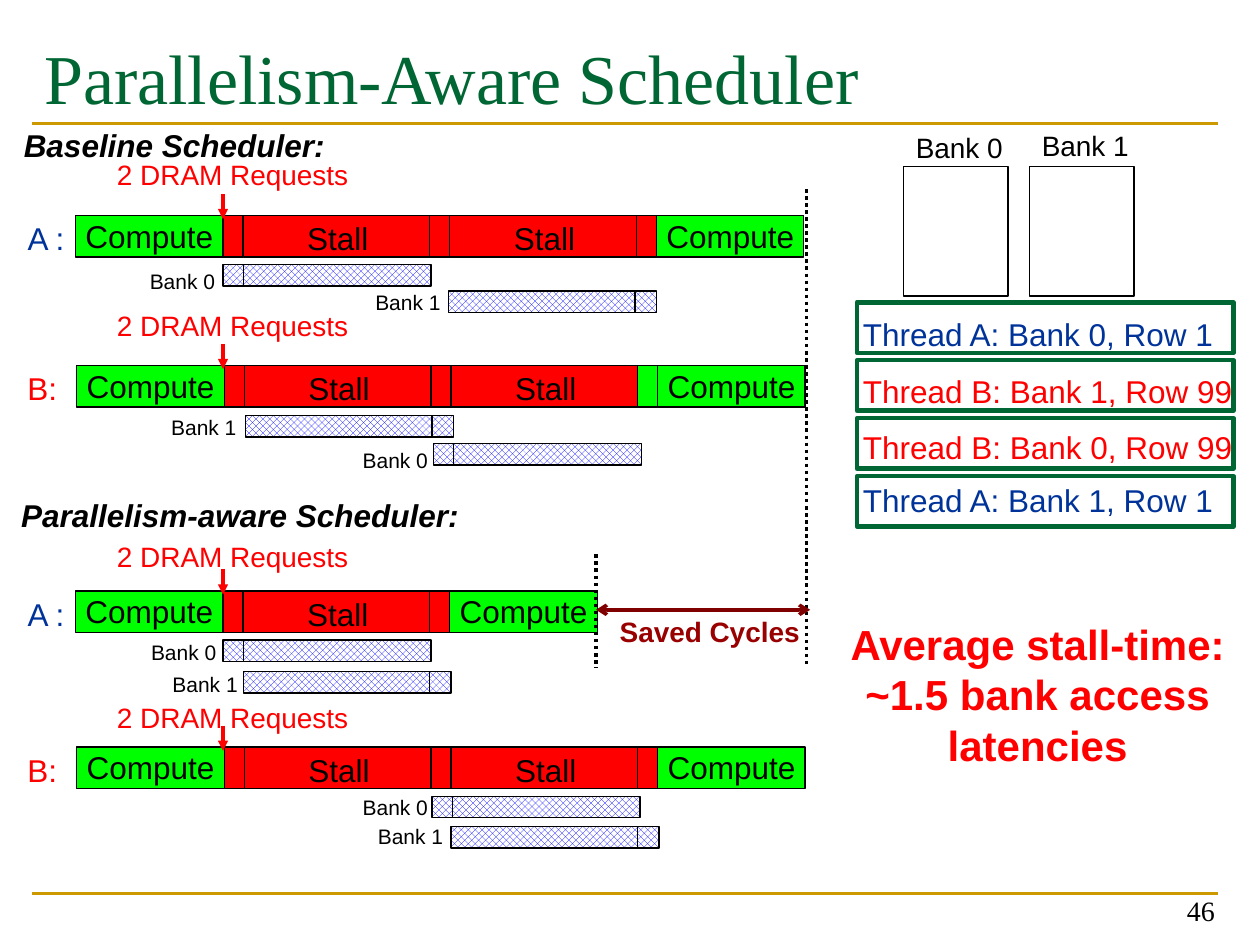
from lxml import etree
from pptx import Presentation
from pptx.dml.color import RGBColor
from pptx.enum.dml import MSO_LINE, MSO_PATTERN
from pptx.enum.shapes import MSO_CONNECTOR, MSO_SHAPE
from pptx.enum.text import MSO_ANCHOR, MSO_AUTO_SIZE, PP_ALIGN
from pptx.oxml.ns import qn
from pptx.util import Inches, Pt

BLACK = RGBColor(0x00, 0x00, 0x00)
WHITE = RGBColor(0xFF, 0xFF, 0xFF)
RED = RGBColor(0xFF, 0x00, 0x00)
GREEN = RGBColor(0x00, 0xFF, 0x00)
BLUE = RGBColor(0x00, 0x00, 0xFF)
NAVY = RGBColor(0x00, 0x33, 0x99)
DARK_GREEN = RGBColor(0x00, 0x66, 0x33)
GOLD = RGBColor(0xCC, 0x99, 0x00)
MAROON = RGBColor(0x80, 0x00, 0x00)
DARK_RED = RGBColor(0x99, 0x00, 0x00)

RECTANGLE = MSO_SHAPE.RECTANGLE
STRAIGHT = MSO_CONNECTOR.STRAIGHT
DOTTED = MSO_LINE.ROUND_DOT
CHECKER = MSO_PATTERN.LARGE_CHECKER_BOARD
LEFT, CENTER, RIGHT = PP_ALIGN.LEFT, PP_ALIGN.CENTER, PP_ALIGN.RIGHT
TOP, BOTTOM = MSO_ANCHOR.TOP, MSO_ANCHOR.BOTTOM
FIT_SHAPE = MSO_AUTO_SIZE.SHAPE_TO_FIT_TEXT

COMPUTE, STALL, SHORT = 1.17, 1.48, 0.16
BAR_HEIGHT, ACCESS_HEIGHT = 0.33, 0.17
LONG_ACCESS, SHORT_ACCESS = 1.49, 0.17

presentation = Presentation()
presentation.slide_width = Inches(10)
presentation.slide_height = Inches(7.5)
slide = presentation.slides.add_slide(presentation.slide_layouts[5])


def add_text(text, left, top, width, height, size, color, wrap=False, align=LEFT, **font_values):
    box = slide.shapes.add_textbox(Inches(left), Inches(top), Inches(width), Inches(height))
    frame = box.text_frame
    frame.word_wrap = wrap
    frame.auto_size = FIT_SHAPE
    paragraph = frame.paragraphs[0]
    paragraph.text = text
    paragraph.alignment = align
    paragraph.font.color.rgb = color
    values = {"name": "Arial", "size": Pt(size), **font_values}
    for name, value in values.items():
        setattr(paragraph.font, name, value)
    return box


def add_rectangle(left, top, width, height, fill=None, line=BLACK, line_width=0.75):
    """Draw a rectangle; fill is a colour, CHECKER, or None for no fill."""
    shape = slide.shapes.add_shape(
        RECTANGLE, Inches(left), Inches(top), Inches(width), Inches(height))
    shape.shadow.inherit = False
    if fill is None:
        shape.fill.background()
    elif fill == CHECKER:
        shape.fill.patterned()
        shape.fill.pattern = CHECKER
        shape.fill.fore_color.rgb = BLUE
        shape.fill.back_color.rgb = WHITE
    else:
        shape.fill.solid()
        shape.fill.fore_color.rgb = fill
    shape.line.color.rgb = line
    shape.line.width = Pt(line_width)


# Title and slide number
title = slide.shapes.title
title.left, title.top, title.width, title.height = (
    Inches(0.25), Inches(0.17), Inches(9.42), Inches(1.17))
title.text_frame.vertical_anchor = TOP
title.text_frame.margin_top = Inches(0.1)
title_paragraph = title.text_frame.paragraphs[0]
title_paragraph.text = "Parallelism-Aware Scheduler"
title_paragraph.alignment = LEFT
title_paragraph.font.name = "Times New Roman"
title_paragraph.font.size = Pt(40)
title_paragraph.font.color.rgb = DARK_GREEN

number = add_text("46", 7.41, 6.91, 2.33, 0.5, 16, BLACK, wrap=True, align=RIGHT,
                  name="Times New Roman")
number.text_frame.auto_size = MSO_AUTO_SIZE.NONE
number.text_frame.vertical_anchor = BOTTOM

# Banks and request queue
for label, left, label_top in [("Bank 0", 7.17, 0.99), ("Bank 1", 8.17, 0.97)]:
    add_rectangle(left, 1.32, 0.83, 1.03)
    add_text(label, left, label_top, 0.9, 0.37, 16, BLACK)

queue = [
    ("Thread A: Bank 0, Row 1", 2.45, 3.05, NAVY),
    ("Thread B: Bank 1, Row 99", 2.9, 3.21, RED),
    ("Thread B: Bank 0, Row 99", 3.35, 3.21, RED),
    ("Thread A: Bank 1, Row 1", 3.77, 3.05, NAVY),
]
for index, (request, text_top, width, color) in enumerate(queue):
    add_text(request, 6.75, text_top, width, 0.41, 18, color)
    add_rectangle(6.8, 2.4 + 0.46 * index, 2.99, 0.4, line=DARK_GREEN, line_width=2.5)

# Timelines: thread, name colour, left, top, label top, segments, bank accesses
FULL = [(COMPUTE, GREEN), (SHORT, RED), (STALL, RED), (SHORT, RED),
        (STALL, RED), (SHORT, RED), (COMPUTE, GREEN)]
EARLY_READY = FULL[:5] + [(SHORT, GREEN), (COMPUTE, GREEN)]
ONE_STALL = FULL[:4] + [(COMPUTE, GREEN)]
# Bank accesses: bank, label left, label top, bar left, bar top
timelines = [
    ("A :", NAVY, 0.6, 1.71, 1.2, FULL,
     [("Bank 0", 1.09, 2.08, 1.77, 2.1), ("Bank 1", 2.88, 2.25, 3.56, 2.31)]),
    ("B:", RED, 0.61, 2.9, 2.4, EARLY_READY,
     [("Bank 1", 1.26, 3.24, 1.95, 3.3), ("Bank 0", 2.78, 3.5, 3.44, 3.52)]),
    ("A :", NAVY, 0.6, 4.69, 4.23, ONE_STALL,
     [("Bank 0", 1.1, 5.03, 1.77, 5.08), ("Bank 1", 1.27, 5.28, 1.93, 5.33)]),
    ("B:", RED, 0.61, 5.93, 5.51, FULL,
     [("Bank 0", 2.78, 6.26, 3.43, 6.32), ("Bank 1", 2.9, 6.49, 3.58, 6.56)]),
]
for thread, color, left, top, requests_top, segments, accesses in timelines:
    add_text(thread, 0.12, top - 0.02, 0.51 if thread == "A :" else 0.44, 0.41, 18, color)
    add_text("2 DRAM Requests", 0.83, requests_top, 2.08, 0.37, 16, RED)
    for length, fill in segments:
        add_rectangle(left, top, length, BAR_HEIGHT, fill)
        if length == COMPUTE:
            add_text("Compute", left - 0.02, top - 0.04, 1.24, 0.41, 18, BLACK)
        elif length == STALL:
            add_text("Stall", left + 0.41, top - 0.02, 0.7, 0.41, 18, BLACK)
        left += length
    for bank, label_left, label_top, access_left, access_top in accesses:
        widths = [SHORT_ACCESS, LONG_ACCESS] if bank == "Bank 0" else [LONG_ACCESS, SHORT_ACCESS]
        for width in widths:
            add_rectangle(access_left, access_top, width, ACCESS_HEIGHT, CHECKER)
            access_left += width - 0.01
        add_text(bank, label_left, label_top, 0.72, 0.3, 12, BLACK)

# Headings and conclusions
for heading, left, top, width in [("Baseline Scheduler:", 0.09, 0.95, 2.79),
                                  ("Parallelism-aware Scheduler:", 0.07, 3.89, 3.73)]:
    add_text(heading, left, top, width, 0.41, 18, BLACK, wrap=True, bold=True, italic=True)
add_text("Saved Cycles", 4.82, 4.83, 1.83, 0.37, 16, DARK_RED, wrap=True, bold=True)
conclusion = add_text("Average stall-time: ~1.5 bank access latencies", 6.56, 4.86, 3.35, 1.31,
                      24, RED, wrap=True, align=CENTER, bold=True)
conclusion.fill.solid()
conclusion.fill.fore_color.rgb = WHITE

# Lines: start, end, colour, width, dash, arrowheads
lines = [((0.25, y), (9.67, y), GOLD, 1.5, None, {}) for y in (0.98, 7.09)]
lines += [((1.77, timeline[3] - 0.17), (1.77, timeline[3] + 0.03), RED, 1.75, None,
           {"a:tailEnd": "triangle"}) for timeline in timelines]
lines += [((x, y), (x, 5.3), BLACK, 2, DOTTED, {}) for x, y in ((4.73, 4.4), (6.4, 1.5))]
lines.append(((4.73, 4.84), (6.43, 4.84), MAROON, 2, None,
              {"a:headEnd": "arrow", "a:tailEnd": "arrow"}))
for start, end, color, width, dash, arrowheads in lines:
    connector = slide.shapes.add_connector(
        STRAIGHT, *[Inches(value) for value in start + end])
    connector.line.color.rgb = color
    connector.line.width = Pt(width)
    if dash:
        connector.line.dash_style = dash
    properties = connector._element.spPr
    for tag, kind in arrowheads.items():
        etree.SubElement(properties.find(qn("a:ln")), qn(tag), type=kind)
    etree.SubElement(properties, qn("a:effectLst"))

presentation.save("out.pptx")
